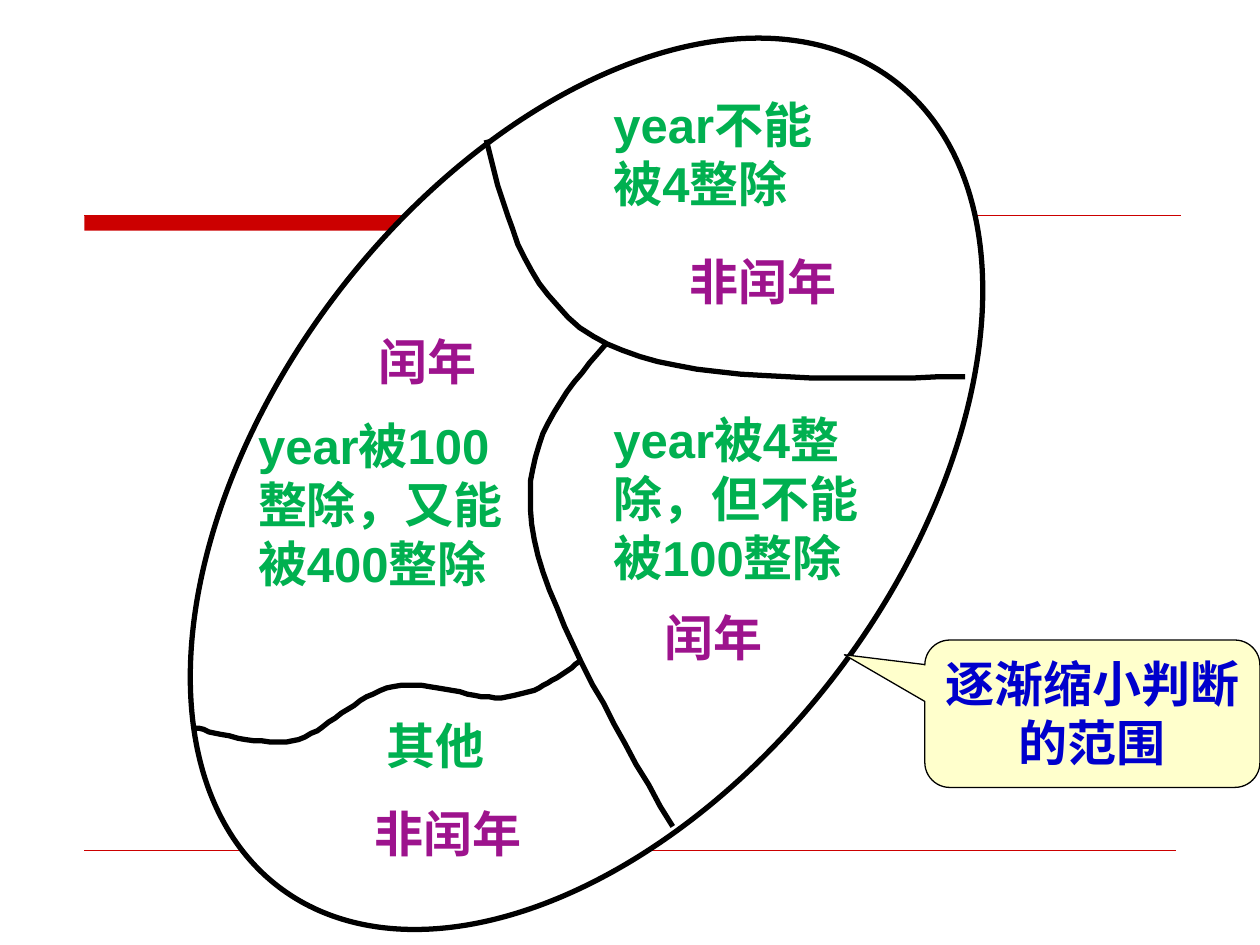
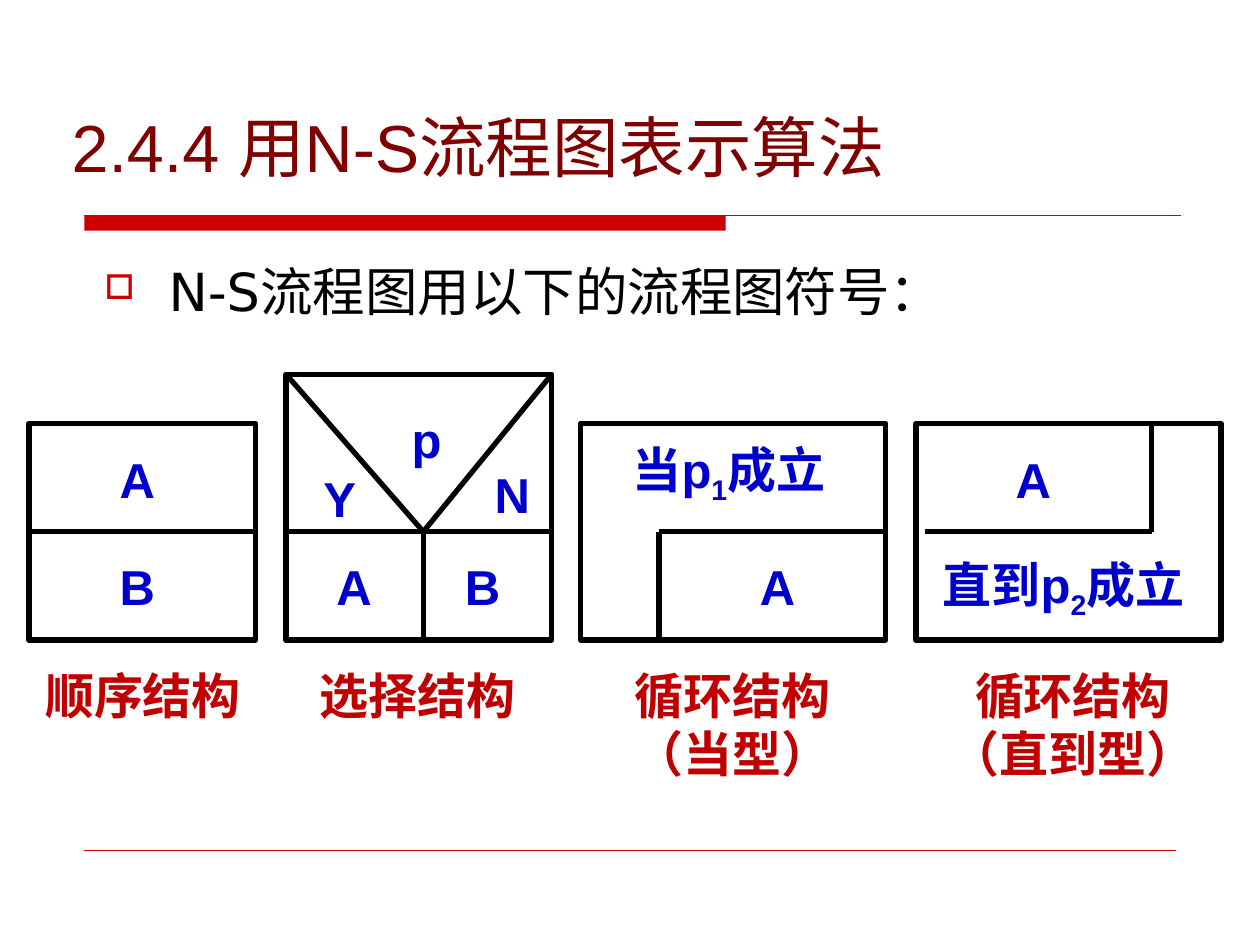
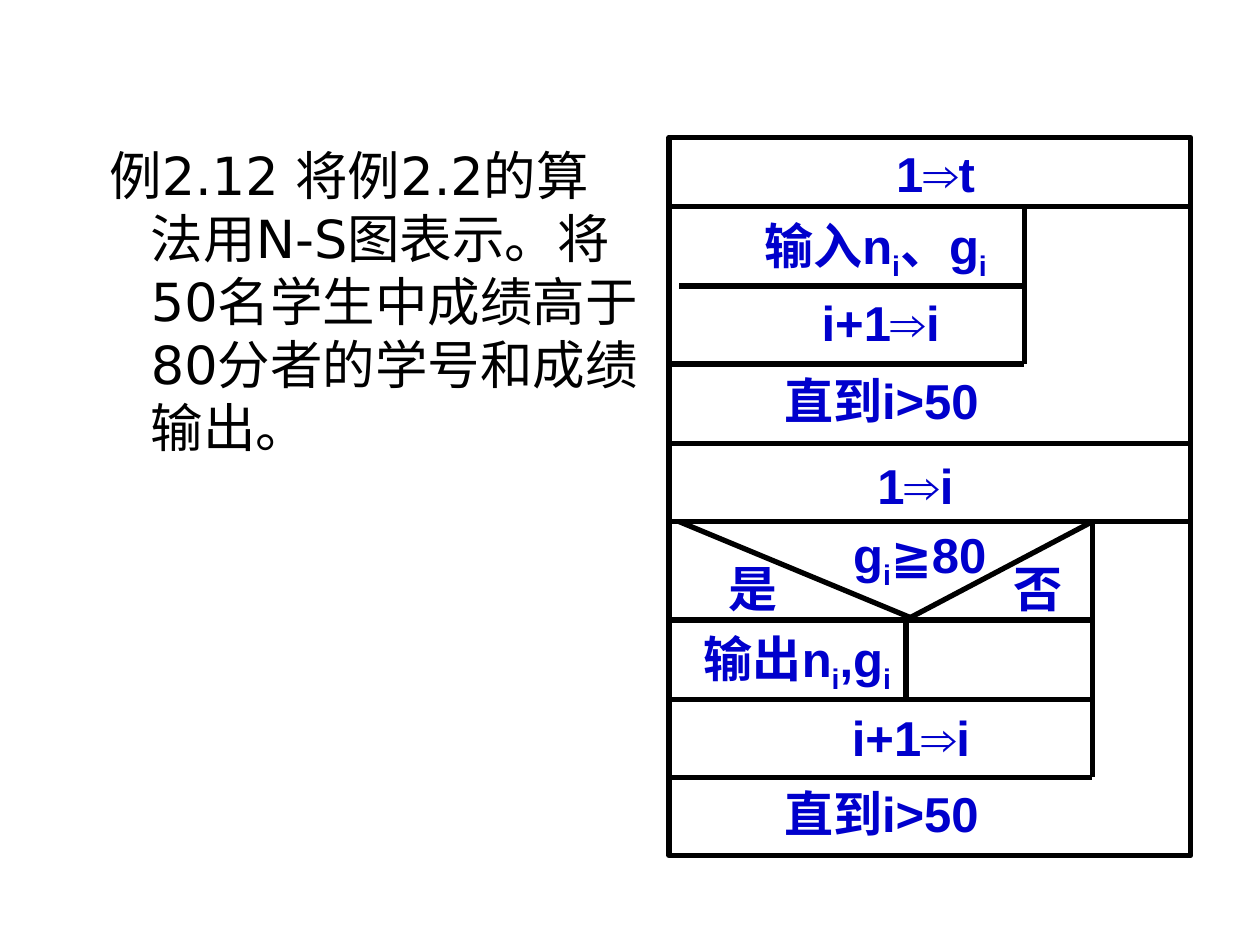
from lxml import etree
from pptx import Presentation
from pptx import util as u
from pptx.dml.color import RGBColor
from pptx.enum import shapes, text
from pptx.oxml import ns

PX = 9144
C = {"black": "000000", "white": "FFFFFF", "red": "CC0000", "title": "800000",
     "rule": "00B050", "verdict": "9D138D", "symbol": "0000CC",
     "caption": "C00000", "note": "FFFFCC"}
SHAPE = shapes.MSO_SHAPE
CENTER, LEFT = text.PP_ALIGN.CENTER, text.PP_ALIGN.LEFT

OVAL = (63, 135, 805, 498)
BORDERS = [
    [(386, 111), (402, 176), (419, 241), (482, 273), (545, 304), (655, 301), (766, 299)],
    [(481, 273), (447, 313), (413, 352), (422, 416), (431, 480), (483, 568), (534, 656)],
    [(460, 525), (444, 537), (428, 550), (403, 553), (378, 557), (341, 539), (312, 545),
     (284, 551), (258, 582), (232, 588), (205, 593), (153, 577), (153, 577)],
]
RULES = [
    (477, 70, 195, "year不能被4整除", 2),
    (477, 320, 234, "year被4整除，但不能被100整除", 3),
    (195, 325, 234, "year被100整除，又能被400整除", 3),
    (297, 563, 125, "其他"),
]
VERDICTS = [
    (508, 195, 195, "非闰年"),
    (469, 477, 195, "闰年"),
    (242, 258, 195, "闰年"),
    (258, 633, 195, "非闰年"),
]

STRUCTURES = [
    {"box": (23, 336, 180, 172),
     "lines": [(23, 422, 203, 422)],
     "labels": [(70, 352, 78, "A"), (70, 437, 78, "B")]},
    {"box": (227, 297, 211, 211),
     "lines": [(227, 422, 438, 422), (227, 297, 336, 422),
               (438, 297, 336, 422), (336, 422, 336, 508)],
     "labels": [(242, 437, 78, "A"), (344, 437, 78, "B"), (242, 367, 55, "Y"),
                (381, 364, 51, "N"), (313, 320, 51, "p")]},
    {"box": (461, 336, 242, 172),
     "lines": [(523, 422, 703, 422), (523, 422, 523, 508)],
     "labels": [(578, 437, 78, "A"), (477, 344, 203, "当p_1成立")]},
    {"box": (727, 336, 242, 172),
     "lines": [(734, 422, 914, 422), (914, 336, 914, 422)],
     "labels": [(781, 352, 78, "A"), (727, 435, 234, "直到p_2成立")]},
]
CAPTIONS = [
    (16, 523, 195, "顺序结构"),
    (234, 523, 195, "选择结构"),
    (484, 523, 195, "循环结构\n（当型）", 2),
    (742, 523, 219, "循环结构（直到型）", 2),
]

SCORES = {
    "box": (531, 109, 414, 570),
    "lines": [(531, y, 945, y) for y in (164, 352, 414)]
    + [(531, y, 867, y) for y in (492, 555, 617)]
    + [(539, 227, 813, 227), (531, 289, 813, 289), (813, 164, 813, 289),
       (867, 414, 867, 617), (867, 414, 719, 492), (539, 414, 727, 492),
       (719, 492, 719, 555)],
    "labels": [(688, 109, 109, "1⇒t"), (625, 227, 148, "i+1⇒i"),
               (594, 289, 211, "直到i>50"), (672, 357, 109, "1⇒i"),
               (656, 411, 148, "g_i≧80"), (781, 438, 86, "否"),
               (555, 438, 86, "是"), (649, 557, 148, "i+1⇒i"),
               (594, 617, 211, "直到i>50")],
}
IN_OUT = [((570, 164, 250, 63), "输入n_i、g_i"), ((516, 492, 234, 62), "输出n_i,g_i")]


def emu(*lengths):
    return [n * PX for n in lengths]


def rgb(name):
    return RGBColor.from_string(C[name])


def style(sp, fill=None, line=None, width=3):
    sp.shadow.inherit = False
    if fill:
        sp.fill.solid()
        sp.fill.fore_color.rgb = rgb(fill)
    else:
        sp.fill.background()
    if line:
        sp.line.color.rgb = rgb(line)
        sp.line.width = u.Pt(width)
    else:
        sp.line.fill.background()
    return sp


def add_shape(sps, kind, box, **look):
    return style(sps.add_shape(kind, *emu(*box)), **look)


def add_line(sps, ends, color="black", width=3):
    cx = sps.add_connector(shapes.MSO_CONNECTOR.STRAIGHT, *emu(*ends))
    cx.line.color.rgb = rgb(color)
    cx.line.width = u.Pt(width)
    etree.SubElement(cx._element.spPr, ns.qn("a:effectLst"))
    return cx


def add_run(p, words, size, font, color, bold):
    r = p.add_run()
    r.text = words
    f = r.font
    f.size, f.name, f.bold = u.Pt(size), font, bold
    f.color.rgb = rgb(color)
    return r


def write(sp, words, size=28, font="Arial", color="symbol", bold=True, align=CENTER,
          anchor=text.MSO_ANCHOR.TOP, wrap=True, inset=True):
    tf = sp.text_frame
    tf.word_wrap = wrap
    tf.vertical_anchor = anchor
    if not inset:
        tf.margin_left = tf.margin_right = tf.margin_top = tf.margin_bottom = 0
    for i, row in enumerate(words.split("\n")):
        p = tf.add_paragraph() if i else tf.paragraphs[0]
        p.alignment = align
        first, *rest = row.split("_")
        add_run(p, first, size, font, color, bold)
        for part in rest:
            sub = add_run(p, part[0], size, font, color, bold)
            sub._r.get_or_add_rPr().set("baseline", "-25000")
            if part[1:]:
                add_run(p, part[1:], size, font, color, bold)
    return tf


def add_text(sps, box, words, **fmt):
    return write(sps.add_textbox(*emu(*box)), words, **fmt)


def add_labels(sps, labels, **fmt):
    for x, y, w, words, *rows in labels:
        h = 63 if "_" in words else 10 + 47 * (rows[0] if rows else 1)
        add_text(sps, (x, y, w, h), words, **fmt)


def hang(tf, margin, first, bullet=None):
    pPr = tf.paragraphs[0]._p.get_or_add_pPr()
    pPr.set("marL", str(margin * PX))
    pPr.set("indent", str(first * PX))
    if bullet:
        clr = etree.SubElement(pPr, ns.qn("a:buClr"))
        etree.SubElement(clr, ns.qn("a:srgbClr"), val=C["red"])
        etree.SubElement(pPr, ns.qn("a:buSzPct"), val="65000")
        etree.SubElement(pPr, ns.qn("a:buChar"), char=bullet)


def add_curve(sps, knots, steps=16):
    pts = [knots[0]]
    for i in range(0, len(knots) - 1, 3):
        a, b, c, d = knots[i:i + 4]
        for k in range(1, steps + 1):
            t = k / steps
            v = 1 - t
            pts.append(tuple(v**3 * a[n] + 3 * v * v * t * b[n] + 3 * v * t * t * c[n]
                             + t**3 * d[n] for n in (0, 1)))
    fb = sps.build_freeform(*pts[0], scale=PX)
    fb.add_line_segments(pts[1:], close=False)
    style(fb.convert_to_shape(), line="black")


def add_diagram(sps, box, lines, labels):
    x, y, w, h = box
    frame = add_shape(sps, SHAPE.FLOWCHART_PROCESS, box, line="black")
    sides = {(x + w / 2, y): 0, (x, y + h / 2): 1,
             (x + w / 2, y + h): 2, (x + w, y + h / 2): 3}
    for ends in lines:
        cx = add_line(sps, ends)
        if ends[:2] in sides:
            cx.begin_connect(frame, sides[ends[:2]])
        if ends[2:] in sides:
            cx.end_connect(frame, sides[ends[2:]])
    add_labels(sps, labels)


def add_bands(sps):
    add_shape(sps, SHAPE.RECTANGLE, (67, 171, 509, 12), fill="red")
    add_line(sps, (67, 171, 937, 171), "red", 0.75)
    add_line(sps, (67, 675, 933, 675), "red", 0.25)


def leap_year_slide(sps):
    add_bands(sps)
    add_shape(sps, SHAPE.OVAL, OVAL, fill="white", line="black").rotation = 307.4
    for knots in BORDERS:
        add_curve(sps, knots)
    add_labels(sps, RULES, color="rule", align=LEFT)
    add_labels(sps, VERDICTS, color="verdict")
    note = add_shape(sps, SHAPE.ROUNDED_RECTANGULAR_CALLOUT, (734, 508, 266, 117),
                     fill="note", line="black", width=0.75)
    for i, value in enumerate((-0.74, -0.4, 0.17)):
        note.adjustments[i] = value
    write(note, "逐渐缩小判断的范围")


def structures_slide(sps):
    add_bands(sps)
    add_text(sps, (47, 79, 914, 73), "2.4.4 用N-S流程图表示算法", size=38, color="title",
             bold=False, align=LEFT, anchor=text.MSO_ANCHOR.MIDDLE)
    tf = add_text(sps, (73, 201, 859, 97), "N-S流程图用以下的流程图符号：", size=30,
                  font="DejaVu Sans", color="black", bold=False, align=LEFT)
    hang(tf, 51, -51, "□")
    for structure in STRUCTURES:
        add_diagram(sps.add_group_shape().shapes, **structure)
    add_labels(sps, CAPTIONS, color="caption")


def scores_slide(sps):
    tf = add_text(sps, (59, 109, 457, 560),
                  "例2.12 将例2.2的算法用N-S图表示。将50名学生中成绩高于80分者的学号和成绩输出。",
                  size=30, font="DejaVu Sans", color="black", bold=False, align=LEFT)
    hang(tf, 51, -33)
    add_diagram(sps, **SCORES)
    for box, words in IN_OUT:
        write(add_shape(sps, SHAPE.PARALLELOGRAM, box), words, wrap=False, inset=False)


def main():
    prs = Presentation()
    prs.slide_width, prs.slide_height = emu(1000, 750)
    for build in (leap_year_slide, structures_slide, scores_slide):
        s = prs.slides.add_slide(prs.slide_layouts[6])
        build(s.shapes)
    prs.save("out.pptx")


if __name__ == "__main__":
    main()
